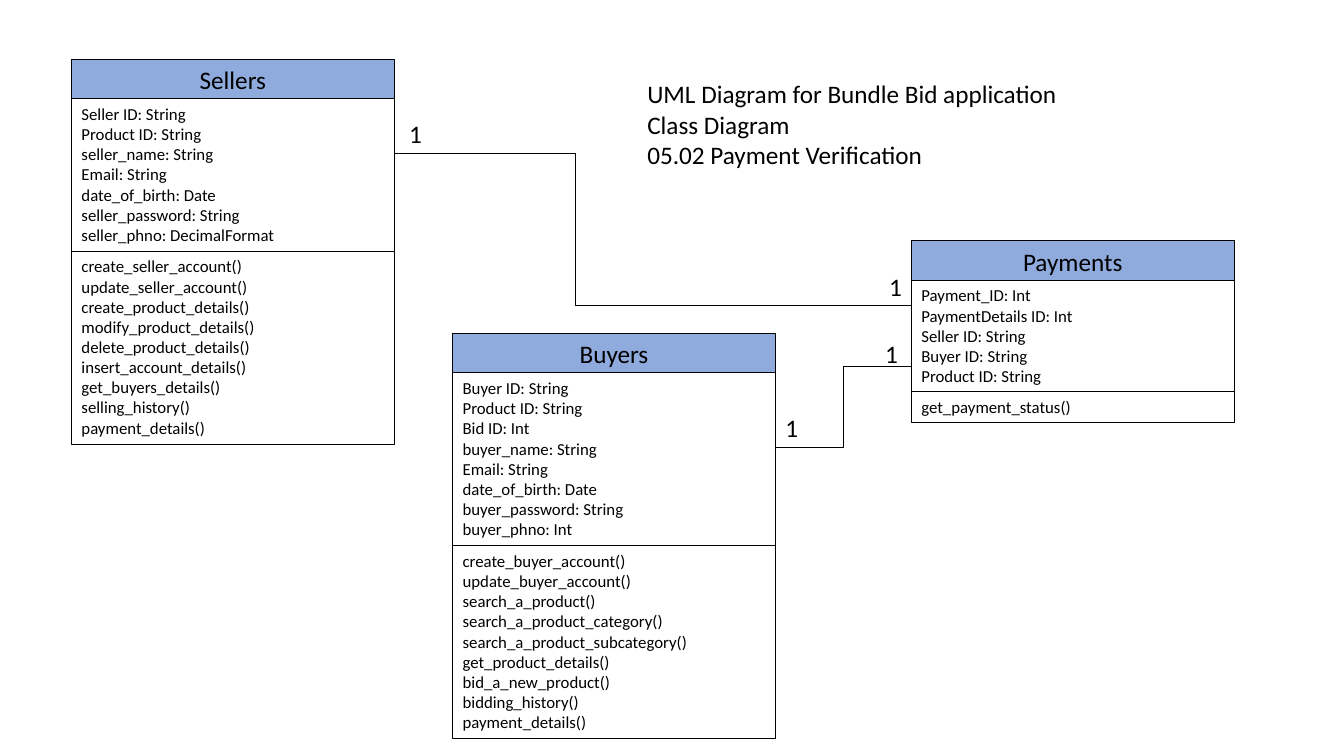
from dataclasses import dataclass

from lxml.etree import SubElement
from pptx import Presentation
from pptx.dml.color import RGBColor
from pptx.enum.shapes import MSO_CONNECTOR as Connector, MSO_SHAPE as Shape
from pptx.enum.text import MSO_ANCHOR as Anchor, MSO_AUTO_SIZE as AutoSize, PP_ALIGN as Align
from pptx.oxml.ns import qn
from pptx.util import Inches, Pt


@dataclass(frozen=True)
class Theme:
    """Colours, type sizes and line widths of the diagram."""
    font: str = "Calibri"
    ink: RGBColor = RGBColor(0, 0, 0)
    header: RGBColor = RGBColor(0x8F, 0xAA, 0xDC)
    large: int = 18
    small: int = 12
    border: float = 0.75
    link: float = 0.5


THEME = Theme()
BOX_WIDTH = 3.2
HEADER_HEIGHT = 0.39
LINE_HEIGHT = THEME.small * 1.21 / 72
PADDING = 0.1

HEADING = ["UML Diagram for Bundle Bid application", "Class Diagram",
           "05.02 Payment Verification"]

# Name, left, top, attributes, methods
CLASSES = [
    ("Payments", 9.04, 2.39,
     ["Payment_ID: Int", "PaymentDetails ID: Int", "Seller ID: String",
      "Buyer ID: String", "Product ID: String"],
     ["get_payment_status()"]),
    ("Sellers", 0.71, 0.59,
     ["Seller ID: String", "Product ID: String", "seller_name: String", "Email: String",
      "date_of_birth: Date", "seller_password: String", "seller_phno: DecimalFormat"],
     ["create_seller_account()", "update_seller_account()", "create_product_details()",
      "modify_product_details()", "delete_product_details()", "insert_account_details()",
      "get_buyers_details()", "selling_history()", "payment_details()"]),
    ("Buyers", 4.49, 3.31,
     ["Buyer ID: String", "Product ID: String", "Bid ID: Int", "buyer_name: String",
      "Email: String", "date_of_birth: Date", "buyer_password: String", "buyer_phno: Int"],
     ["create_buyer_account()", "update_buyer_account()", "search_a_product()",
      "search_a_product_category()", "search_a_product_subcategory()",
      "get_product_details()", "bid_a_new_product()", "bidding_history()",
      "payment_details()"]),
]

# Start, end, share of the width before the bend
ASSOCIATIONS = [
    ((7.69, 4.44), (9.04, 3.64), 0.5),
    ((3.91, 1.52), (9.04, 3.03), 0.35),
]
MULTIPLICITIES = [(7.69, 4.04), (8.68, 3.31), (3.96, 1.12), (8.72, 2.64)]


def set_attributes(target, values):
    """Set each attribute of the target from a dict."""
    for name, value in values.items():
        setattr(target, name, value)


def write_lines(shape, lines, size, align=Align.LEFT, **frame_format):
    """Fill a shape with one paragraph per line."""
    frame = shape.text_frame
    frame.text = "\n".join(lines)
    set_attributes(frame, {"word_wrap": True, "auto_size": AutoSize.NONE,
                           "vertical_anchor": Anchor.TOP, **frame_format})
    for paragraph in frame.paragraphs:
        paragraph.alignment = align
        set_attributes(paragraph.font, {"name": THEME.font, "size": Pt(size)})
        paragraph.font.color.rgb = THEME.ink


def place_heading(slide):
    """Move the title placeholder and write the diagram heading in it."""
    title = slide.shapes.title
    set_attributes(title, {"left": Inches(6.32), "top": Inches(0.73),
                           "width": Inches(4.5), "height": Inches(1.01)})
    write_lines(title, HEADING, THEME.large)


def add_compartment(slide, left, top, height, lines, size, align=Align.LEFT, fill=None):
    """Add one bordered compartment of a class box."""
    shape = slide.shapes.add_shape(Shape.RECTANGLE, Inches(left), Inches(top),
                                   Inches(BOX_WIDTH), Inches(height))
    shape.shadow.inherit = False
    if fill is None:
        shape.fill.background()
    else:
        shape.fill.solid()
        shape.fill.fore_color.rgb = fill
    shape.line.color.rgb = THEME.ink
    shape.line.width = Pt(THEME.border)
    write_lines(shape, lines, size, align)


def add_class(slide, name, left, top, attributes, methods):
    """Add a class box: name, attributes and methods stacked."""
    add_compartment(slide, left, top, HEADER_HEIGHT, [name], THEME.large,
                    Align.CENTER, THEME.header)
    top += HEADER_HEIGHT
    for lines in (attributes, methods):
        height = len(lines) * LINE_HEIGHT + PADDING
        add_compartment(slide, left, top, height, lines, THEME.small)
        top += height


def add_association(slide, start, end, bend):
    """Add an elbow connector that bends at a share of its width."""
    connector = slide.shapes.add_connector(
        Connector.ELBOW, *(Inches(value) for value in (*start, *end)))
    connector.line.color.rgb = THEME.ink
    connector.line.width = Pt(THEME.link)
    properties = connector._element.spPr
    SubElement(properties, qn("a:effectLst"))
    guides = properties.find(qn("a:prstGeom")).get_or_add_avLst()
    SubElement(guides, qn("a:gd"), name="adj1", fmla=f"val {round(bend * 100000)}")


def add_multiplicity(slide, left, top):
    """Add the multiplicity at one end of an association."""
    label = slide.shapes.add_textbox(Inches(left), Inches(top), Inches(0.2), Inches(0.4))
    write_lines(label, ["1"], THEME.large, margin_right=0)


def main():
    """Build the class diagram slide."""
    presentation = Presentation()
    set_attributes(presentation, {"slide_width": Inches(13.33), "slide_height": Inches(7.5)})
    slide = presentation.slides.add_slide(presentation.slide_layouts[5])
    place_heading(slide)
    for class_data in CLASSES:
        add_class(slide, *class_data)
    for association in ASSOCIATIONS:
        add_association(slide, *association)
    for position in MULTIPLICITIES:
        add_multiplicity(slide, *position)
    presentation.save("out.pptx")


main()
